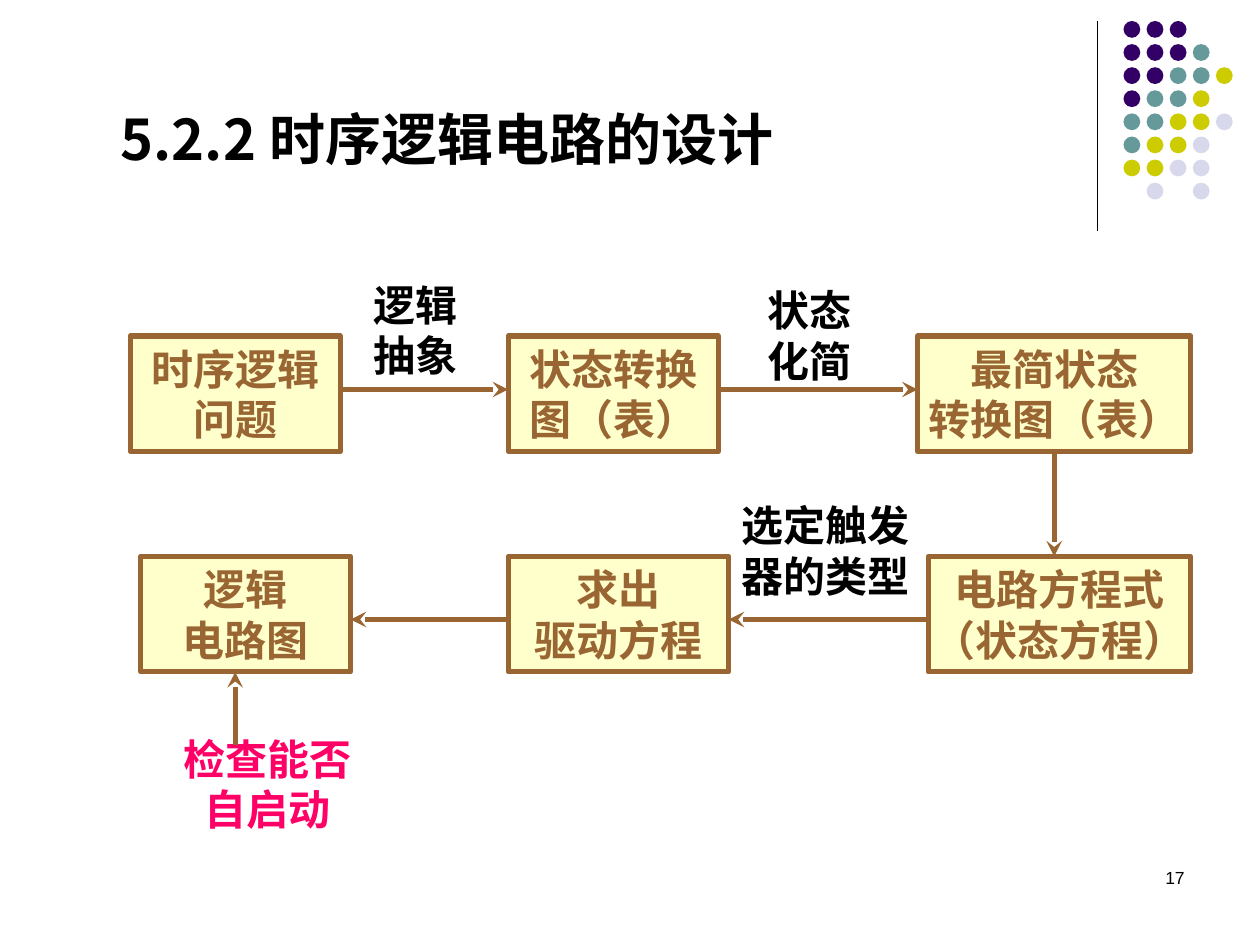
from dataclasses import dataclass

import pptx
import pptx.dml.color
import pptx.enum.shapes
import pptx.enum.text
import pptx.oxml.ns
import pptx.util
from lxml import etree

Pt = pptx.util.Pt
qn = pptx.oxml.ns.qn
Align = pptx.enum.text.PP_ALIGN
Shape = pptx.enum.shapes.MSO_SHAPE

CJK = "Noto Sans CJK SC"
BROWN, CREAM, BLACK, PINK = "996633", "FFFFCC", "000000", "FF0066"
BODY = {"name": CJK, "size": Pt(24), "bold": True}
TITLE = BODY | {"size": Pt(32)}
NUMBER = {"name": "Arial", "size": Pt(10), "bold": False}

ROW_1, ROW_2, STEP_HEIGHT = 192, 318, 66
ARROW_1, ARROW_2 = 222.6, 354

DOT_COLOURS = {"P": "330066", "T": "669999", "Y": "CCCC00", "L": "D8D8EC"}
DOT_ROWS = ["PPP", "PPPT", "PPTTY", "PTTY", "TTYYL", "TYYL", "YYLL", ".L.L"]
DOT_LEFT, DOT_TOP, DOT_PITCH, DOT_SIZE = 642, 12, 13.2, 9.6


@dataclass
class Step:
    text: str
    x: float
    y: float
    w: float


@dataclass
class Label:
    text: str
    x: float
    y: float
    w: float
    h: float = 64.8
    colour: str = BLACK
    align: Align = Align.LEFT
    fmt: dict | None = None
    wrap: bool = True


@dataclass
class Arrow:
    x1: float
    y1: float
    x2: float
    y2: float


STEPS = [
    Step("时序逻辑\n问题", 74.4, ROW_1, 120),
    Step("状态转换\n图（表）", 290.4, ROW_1, 120),
    Step("最简状态\n转换图（表）", 524.4, ROW_1, 156),
    Step("电路方程式\n（状态方程）", 530.4, ROW_2, 150),
    Step("求出\n驱动方程", 290.4, ROW_2, 126),
    Step("逻辑\n电路图", 80.4, ROW_2, 120),
]
LABELS = [
    Label("5.2.2 时序逻辑电路的设计", 61.9, 56.2, 393.1, 46, fmt=TITLE),
    Label("逻辑\n抽象", 206.6, 156.2, 77.8),
    Label("状态\n化简", 431.3, 159.1, 73.4),
    Label("选定触发\n器的类型", 416.9, 282.2, 110.2, wrap=False),
    Label("检查能否\n自启动", 90.7, 415.4, 124.6, colour=PINK, align=Align.CENTER),
    Label("17", 516, 492, 168, 36, align=Align.RIGHT, fmt=NUMBER),
]
ARROWS = [
    Arrow(194.4, ARROW_1, 290.4, ARROW_1),
    Arrow(410.4, ARROW_1, 524.4, ARROW_1),
    Arrow(602.4, ROW_1 + STEP_HEIGHT, 602.4, ROW_2),
    Arrow(530.4, ARROW_2, 416.4, ARROW_2),
    Arrow(290.4, ARROW_2, 200.4, ARROW_2),
    Arrow(134.4, 426, 134.4, ROW_2 + STEP_HEIGHT),
]


def set_colour(fmt, colour: str) -> None:
    """Colour a fill or a font from a hex string."""
    if hasattr(fmt, "solid"):
        fmt.solid()
        fmt = fmt.fore_color
    else:
        fmt = fmt.color
    fmt.rgb = pptx.dml.color.RGBColor.from_string(colour)


def write_text(tf, text: str, fmt: dict, colour: str, align: Align, wrap: bool) -> None:
    tf.word_wrap = wrap
    for i, line in enumerate(text.split("\n")):
        p = tf.paragraphs[0] if i == 0 else tf.add_paragraph()
        p.alignment = align
        r = p.add_run()
        r.text = line
        for key, value in fmt.items():
            setattr(r.font, key, value)
        set_colour(r.font, colour)
        ea = etree.SubElement(r.font._element, qn("a:ea"))
        ea.set("typeface", fmt["name"])


def draw_step(s, step: Step) -> None:
    sp = s.shapes.add_shape(Shape.RECTANGLE, Pt(step.x), Pt(step.y), Pt(step.w), Pt(STEP_HEIGHT))
    sp.shadow.inherit = False
    set_colour(sp.fill, CREAM)
    set_colour(sp.line.fill, BROWN)
    sp.line.width = Pt(3)
    sp.text_frame.vertical_anchor = pptx.enum.text.MSO_ANCHOR.MIDDLE
    write_text(sp.text_frame, step.text, BODY, BROWN, Align.CENTER, False)


def draw_label(s, label: Label) -> None:
    sp = s.shapes.add_textbox(Pt(label.x), Pt(label.y), Pt(label.w), Pt(label.h))
    write_text(sp.text_frame, label.text, label.fmt or BODY, label.colour, label.align, label.wrap)


def draw_line(s, a: Arrow, colour: str, width: float, head: bool) -> None:
    straight = pptx.enum.shapes.MSO_CONNECTOR.STRAIGHT
    sp = s.shapes.add_connector(straight, Pt(a.x1), Pt(a.y1), Pt(a.x2), Pt(a.y2))
    set_colour(sp.line.fill, colour)
    sp.line.width = Pt(width)
    if head:
        etree.SubElement(sp.line._get_or_add_ln(), qn("a:tailEnd")).set("type", "stealth")
    etree.SubElement(sp._element.spPr, qn("a:effectLst"))


def draw_dots(s) -> None:
    for row, codes in enumerate(DOT_ROWS):
        for col, code in enumerate(codes):
            if code not in DOT_COLOURS:
                continue
            x, y = DOT_LEFT + col * DOT_PITCH, DOT_TOP + row * DOT_PITCH
            sp = s.shapes.add_shape(Shape.OVAL, Pt(x), Pt(y), Pt(DOT_SIZE), Pt(DOT_SIZE))
            sp.shadow.inherit = False
            set_colour(sp.fill, DOT_COLOURS[code])
            sp.line.fill.background()


def main() -> None:
    prs = pptx.Presentation()
    prs.slide_width, prs.slide_height = Pt(720), Pt(540)
    s = prs.slides.add_slide(prs.slide_layouts[6])
    draw_line(s, Arrow(627, 12, 627, 132), BLACK, 0.75, False)
    draw_dots(s)
    for step in STEPS:
        draw_step(s, step)
    for label in LABELS:
        draw_label(s, label)
    for arrow in ARROWS:
        draw_line(s, arrow, BROWN, 3, True)
    prs.save("out.pptx")


if __name__ == "__main__":
    main()
